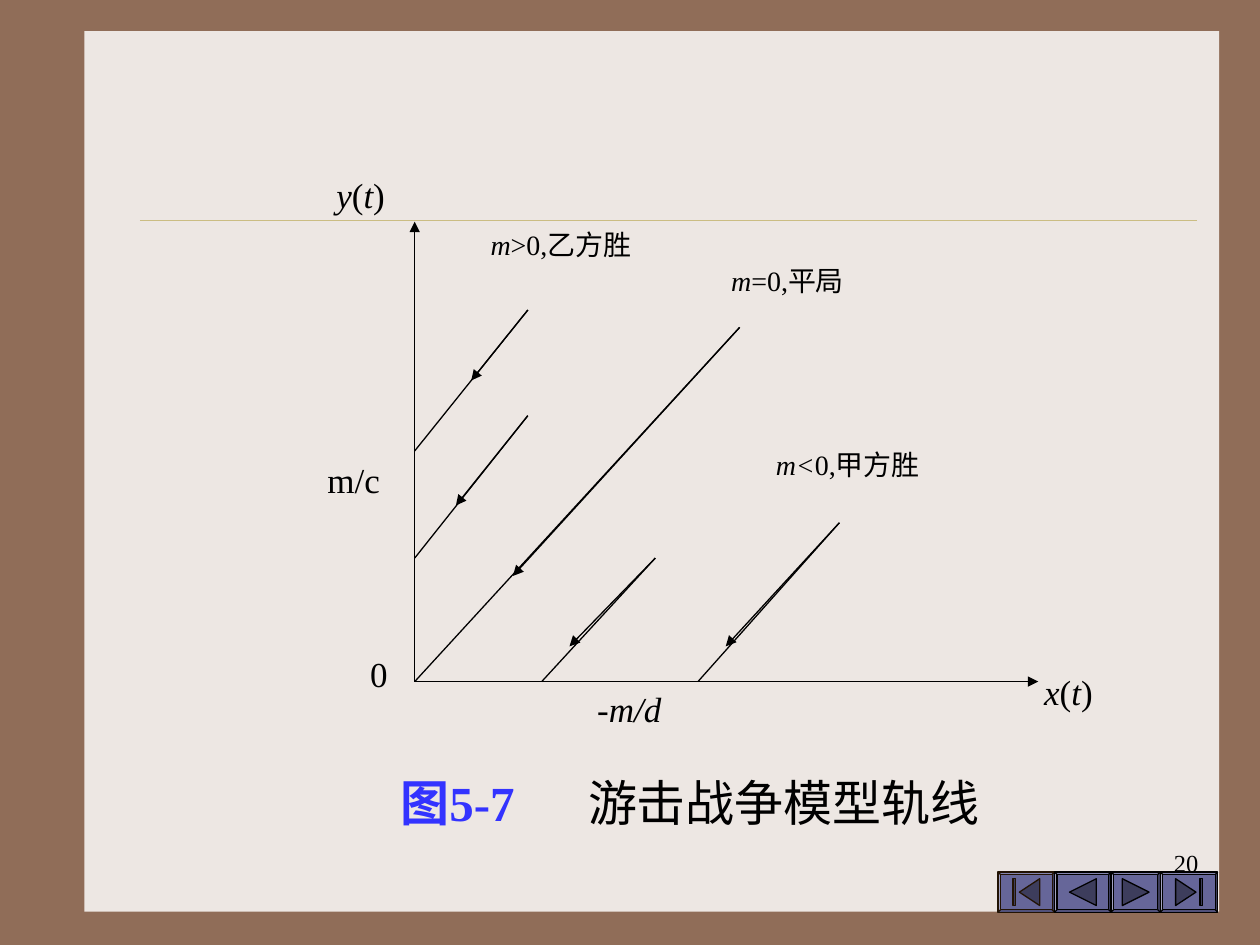
import pptx
import pptx.dml.color
import pptx.enum.shapes
import pptx.enum.text
import pptx.oxml
import pptx.oxml.ns
import pptx.util
from pptx.dml.color import RGBColor
from pptx.util import Cm, Pt

BROWN = RGBColor(0x90, 0x6D, 0x58)
PAPER = RGBColor(0xED, 0xE7, 0xE3)
GOLD = RGBColor(0xCB, 0xBD, 0x83)
BLACK = RGBColor(0, 0, 0)
BLUE = RGBColor(0x33, 0x33, 0xFF)
BUTTON = RGBColor(0x66, 0x66, 0x99)
ICON = RGBColor(0x3D, 0x3D, 0x5C)
DARK_BROWN = RGBColor(0x22, 0x13, 0x04)

FONT = "Times New Roman"
SHAPE = pptx.enum.shapes.MSO_SHAPE
ALIGN = pptx.enum.text.PP_ALIGN

ORIGIN = (8.36, 13.74)
AXIS_ENDS = [(20.93, 13.74), (8.36, 4.47)]

# start, end on an axis, tip of the arrow on the way
TRAJECTORIES = [
    ((14.91, 6.6), ORIGIN, (10.34, 11.61)),
    ((10.64, 6.25), (8.36, 9.09), (9.5, 7.67)),
    ((10.64, 8.38), (8.36, 11.25), (9.19, 10.19)),
    ((13.21, 11.25), (10.92, 13.74), (11.48, 13.03)),
    ((16.92, 10.54), (14.07, 13.74), (14.63, 13.03)),
]

# left, top, size, runs as (text, italic)
LABELS = [
    (6.35, 9.12, 20, [("m/c", False)]),
    (6.53, 3.38, 20, [("y", True), ("(", False), ("t", True), (")", False)]),
    (20.8, 13.39, 20, [("x", True), ("(", False), ("t", True), (")", False)]),
    (7.21, 13.03, 20, [("0", False)]),
    (11.79, 13.74, 20, [("-m/d", True)]),
    (14.49, 5.18, 16, [("m", True), ("=0,平局", False)]),
    (9.64, 4.47, 16, [("m", True), (">0,乙方胜", False)]),
    (15.39, 8.89, 16, [("m<", True), ("0,甲方胜", False)]),
]

# left, width, direction, whether the icon has a bar, line colour
BUTTONS = [
    (20.12, 1.14, -1, True, DARK_BROWN),
    (21.26, 1.14, -1, False, BLACK),
    (22.4, 0.99, 1, False, BLACK),
    (23.39, 1.16, 1, True, BLACK),
]
BUTTON_TOP, BUTTON_HEIGHT = 17.58, 0.81
ICON_HALF = 0.27


def add_run(p, text, color=BLACK, **formats):
    r = p.add_run()
    r.text = text
    for name, value in {"name": FONT, **formats}.items():
        setattr(r.font, name, value)
    r.font.color.rgb = color


def add_line(s, start, end, color=BLACK, width=0.75, arrow=False):
    points = [Cm(v) for v in start + end]
    line = s.shapes.add_connector(pptx.enum.shapes.MSO_CONNECTOR.STRAIGHT, *points)
    line.line.color.rgb = color
    line.line.width = Pt(width)
    if arrow:
        tail = pptx.oxml.parse_xml(
            f'<a:tailEnd {pptx.oxml.ns.nsdecls("a")} type="triangle"/>')
        line.line._get_or_add_ln().append(tail)
    effects = pptx.oxml.parse_xml(f'<a:effectLst {pptx.oxml.ns.nsdecls("a")}/>')
    line._element.spPr.append(effects)


def paint(sp, fill, line=None):
    sp.shadow.inherit = False
    sp.fill.solid()
    sp.fill.fore_color.rgb = fill
    if line is None:
        sp.line.fill.background()
    else:
        sp.line.color.rgb = line
        sp.line.width = Pt(0.75)


def add_label(s, left, top, size, runs, width=4.5, align=ALIGN.LEFT):
    sp = s.shapes.add_textbox(Cm(left), Cm(top), Cm(width), Cm(1.12))
    sp.text_frame.word_wrap = True
    p = sp.text_frame.paragraphs[0]
    p.alignment = align
    for text, italic in runs:
        add_run(p, text, size=Pt(size), italic=italic)


def add_caption(s):
    sp = s.shapes.title
    box = {"left": 7.82, "top": 15.44, "width": 13.34, "height": 1.45}
    for name, value in box.items():
        setattr(sp, name, Cm(value))
    tf = sp.text_frame
    formats = {"word_wrap": True,
               "auto_size": pptx.enum.text.MSO_AUTO_SIZE.NONE,
               "vertical_anchor": pptx.enum.text.MSO_ANCHOR.TOP}
    for name, value in formats.items():
        setattr(tf, name, value)
    p = tf.paragraphs[0]
    p.alignment = ALIGN.LEFT
    tabs = pptx.oxml.parse_xml(
        f'<a:tabLst {pptx.oxml.ns.nsdecls("a")}>'
        f'<a:tab pos="{Cm(3.78)}" algn="l"/></a:tabLst>')
    p._p.get_or_add_pPr().append(tabs)
    add_run(p, "图5-7\t", BLUE, size=Pt(28), bold=True)
    add_run(p, "游击战争模型轨线", size=Pt(28), bold=False)
    # Bring the caption in front of the paper
    sp.element.getparent().append(sp.element)


def add_button(s, left, width, direction, has_bar, line):
    sp = s.shapes.add_shape(SHAPE.BEVEL, Cm(left), Cm(BUTTON_TOP),
                            Cm(width), Cm(BUTTON_HEIGHT))
    sp.adjustments[0] = 0.06
    paint(sp, BUTTON, line)

    # Icon outlines, measured from the button's centre towards its direction
    h = ICON_HALF
    tip = 0.14 if has_bar else h
    outlines = [[(tip, 0), (-h, -h), (-h, h)]]
    if has_bar:
        outlines.append([(0.22, -h), (h, -h), (h, h), (0.22, h)])
    cx, cy = left + width / 2, BUTTON_TOP + BUTTON_HEIGHT / 2
    for outline in outlines:
        points = [(Cm(cx + direction * x), Cm(cy + y)) for x, y in outline]
        builder = s.shapes.build_freeform(*points[0])
        builder.add_line_segments(points[1:], close=True)
        paint(builder.convert_to_shape(), ICON, line)


def main():
    prs = pptx.Presentation()
    prs.slide_width, prs.slide_height = Cm(25.4), Cm(19.05)
    s = prs.slides.add_slide(prs.slide_layouts[5])

    # Background, paper and rule
    s.background.fill.solid()
    s.background.fill.fore_color.rgb = BROWN
    paper = s.shapes.add_shape(SHAPE.RECTANGLE, Cm(1.7), Cm(0.63), Cm(22.88), Cm(17.75))
    paint(paper, PAPER)
    add_line(s, (2.82, 4.44), (24.13, 4.44), GOLD, 0.25)

    # Page number
    add_label(s, 19.13, 16.97, 14, [("20", False)], 5.28, ALIGN.RIGHT)

    # Axes and trajectories
    for end in AXIS_ENDS:
        add_line(s, ORIGIN, end, arrow=True)
    for start, end, tip in TRAJECTORIES:
        add_line(s, start, end)
        add_line(s, start, tip, arrow=True)

    # Labels and caption
    for label in LABELS:
        add_label(s, *label)
    add_caption(s)

    # Navigation buttons
    for button in BUTTONS:
        add_button(s, *button)

    prs.save("out.pptx")


if __name__ == "__main__":
    main()
